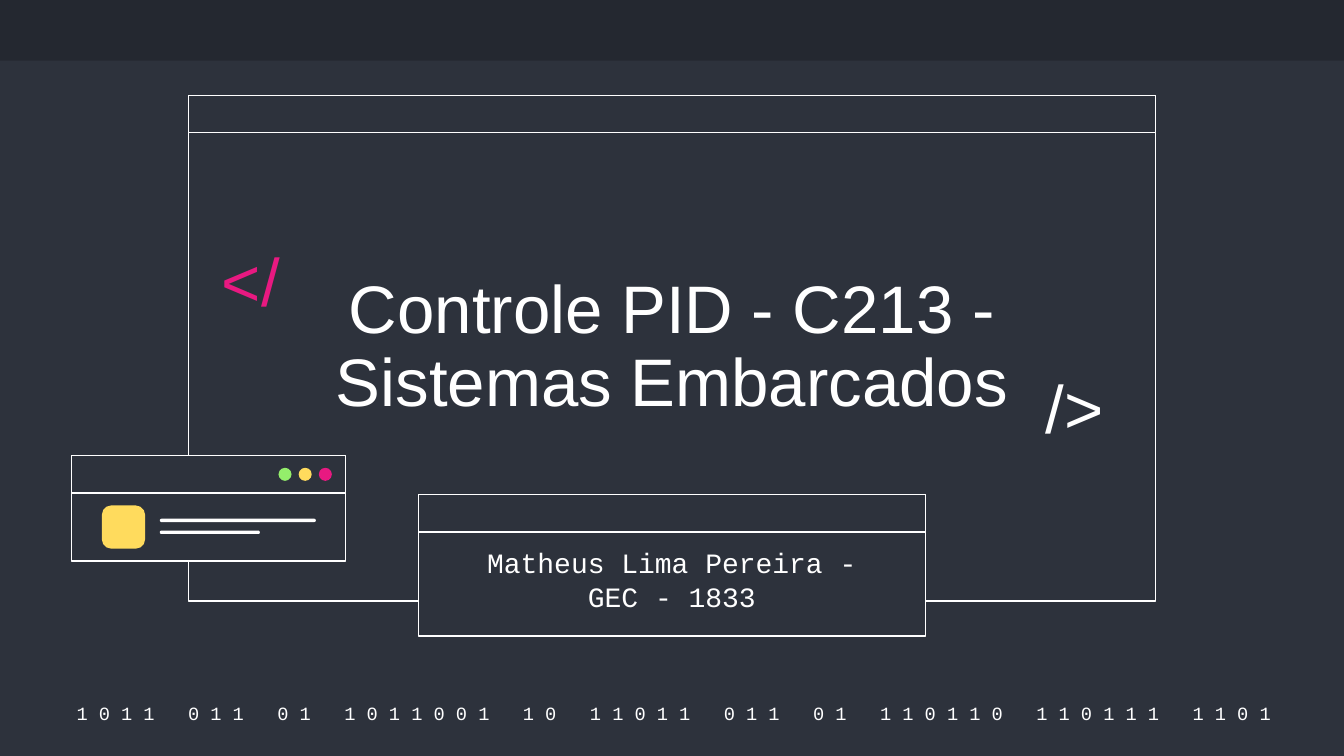
from pptx import Presentation
from pptx.dml.color import RGBColor
from pptx.enum.shapes import MSO_SHAPE
from pptx.enum.text import MSO_ANCHOR, PP_ALIGN
from pptx.util import Pt

RECT, ROUND, OVAL = MSO_SHAPE.RECTANGLE, MSO_SHAPE.ROUNDED_RECTANGLE, MSO_SHAPE.OVAL
LEFT, CENTER = PP_ALIGN.LEFT, PP_ALIGN.CENTER
TOP, MIDDLE, BOTTOM = MSO_ANCHOR.TOP, MSO_ANCHOR.MIDDLE, MSO_ANCHOR.BOTTOM

COLORS = {
    "background": "2D323C",
    "band": "242830",
    "white": "FFFFFF",
    "pink": "E81981",
    "yellow": "FFDB5D",
    "green": "94EE6B",
}
BINARY_WORDS = "1011 011 01 1011001 10 11011 011 01 110110 110111 1101".split()
BAR_HEIGHT = 20


def color(name):
    return RGBColor.from_string(COLORS[name])


def add_block(page, kind, left, top, width, height, fill, outlined=False):
    block = page.shapes.add_shape(kind, Pt(left), Pt(top), Pt(width), Pt(height))
    block.shadow.inherit = False
    block.fill.solid()
    block.fill.fore_color.rgb = color(fill)
    if outlined:
        block.line.color.rgb = color("white")
        block.line.width = Pt(0.75)
    else:
        block.line.fill.background()
    return block


def add_text(page, left, top, width, height, text, size, font="Arial",
             ink="white", align=CENTER, anchor=MIDDLE, spacing=1.0):
    box = page.shapes.add_textbox(Pt(left), Pt(top), Pt(width), Pt(height))
    frame = box.text_frame
    frame.word_wrap = True
    frame.vertical_anchor = anchor
    frame.margin_left = frame.margin_right = Pt(7.2)
    frame.margin_top = frame.margin_bottom = Pt(7.2)
    para = frame.paragraphs[0]
    para.text = text
    para.alignment = align
    para.line_spacing = spacing
    para.font.name = font
    para.font.size = Pt(size)
    para.font.color.rgb = color(ink)


def add_window(page, left, top, width, height):
    """Draw an outlined window frame with a title bar."""
    add_block(page, RECT, left, top, width, height, "background", True)
    add_block(page, RECT, left, top, width, BAR_HEIGHT, "background", True)


def add_backdrop(page, width):
    page.background.fill.solid()
    page.background.fill.fore_color.rgb = color("background")
    add_block(page, RECT, 0, 0, width, 32.5, "band")
    digits = "   ".join(" ".join(word) for word in BINARY_WORDS)
    add_text(page, 27, 374.7, 667.5, 14.4, digits, 10, "Courier New")


def add_title_window(page, left, top, width, height):
    add_window(page, left, top, width, height)
    for mark, ink, x, y in (("</", "pink", 10.8, 77.8), ("/>", "white", 452.2, 145.4)):
        add_text(page, left + x, top + y, 55.4, 47.5, mark, 36,
                 ink=ink, align=LEFT, spacing=0.9)
    title_width = 395.3
    add_text(page, left + (width - title_width) / 2, top + 89.3, title_width, 92.2,
             "Controle PID - C213 - Sistemas Embarcados", 36,
             anchor=BOTTOM, spacing=0.9)


def add_author_window(page, left, top, width, height):
    add_window(page, left, top, width, height)
    add_text(page, left + 16, top + BAR_HEIGHT, width - 32, height - BAR_HEIGHT,
             "Matheus Lima Pereira - GEC - 1833", 15, "Courier New", anchor=TOP)


def add_profile_window(page, left, top, width, height):
    """Draw the small window with its dots, icon and two text strokes."""
    add_window(page, left, top, width, height)
    dot, step = 7, 10.8
    first = left + width - 36
    for index, fill in enumerate(("green", "yellow", "pink")):
        add_block(page, OVAL, first + index * step, top + (BAR_HEIGHT - dot) / 2,
                  dot, dot, fill)
    icon = add_block(page, ROUND, left + 16.4, top + 26.7, 23.2, 23.2, "yellow")
    icon.adjustments[0] = 0.22
    for index, length in enumerate((83.6, 53.6)):
        stroke = add_block(page, ROUND, left + 47.4, top + 33.8 + index * 6.4,
                           length, 1.8, "white")
        stroke.adjustments[0] = 0.5


def main():
    deck = Presentation()
    deck.slide_width, deck.slide_height = Pt(720), Pt(405)
    page = deck.slides.add_slide(deck.slide_layouts[6])
    add_backdrop(page, 720)
    add_title_window(page, 101, 51.2, 518, 270.8)
    add_author_window(page, 224.1, 265, 271.8, 75.8)
    add_profile_window(page, 38.2, 244.1, 147, 56.5)
    deck.save("out.pptx")


if __name__ == "__main__":
    main()
